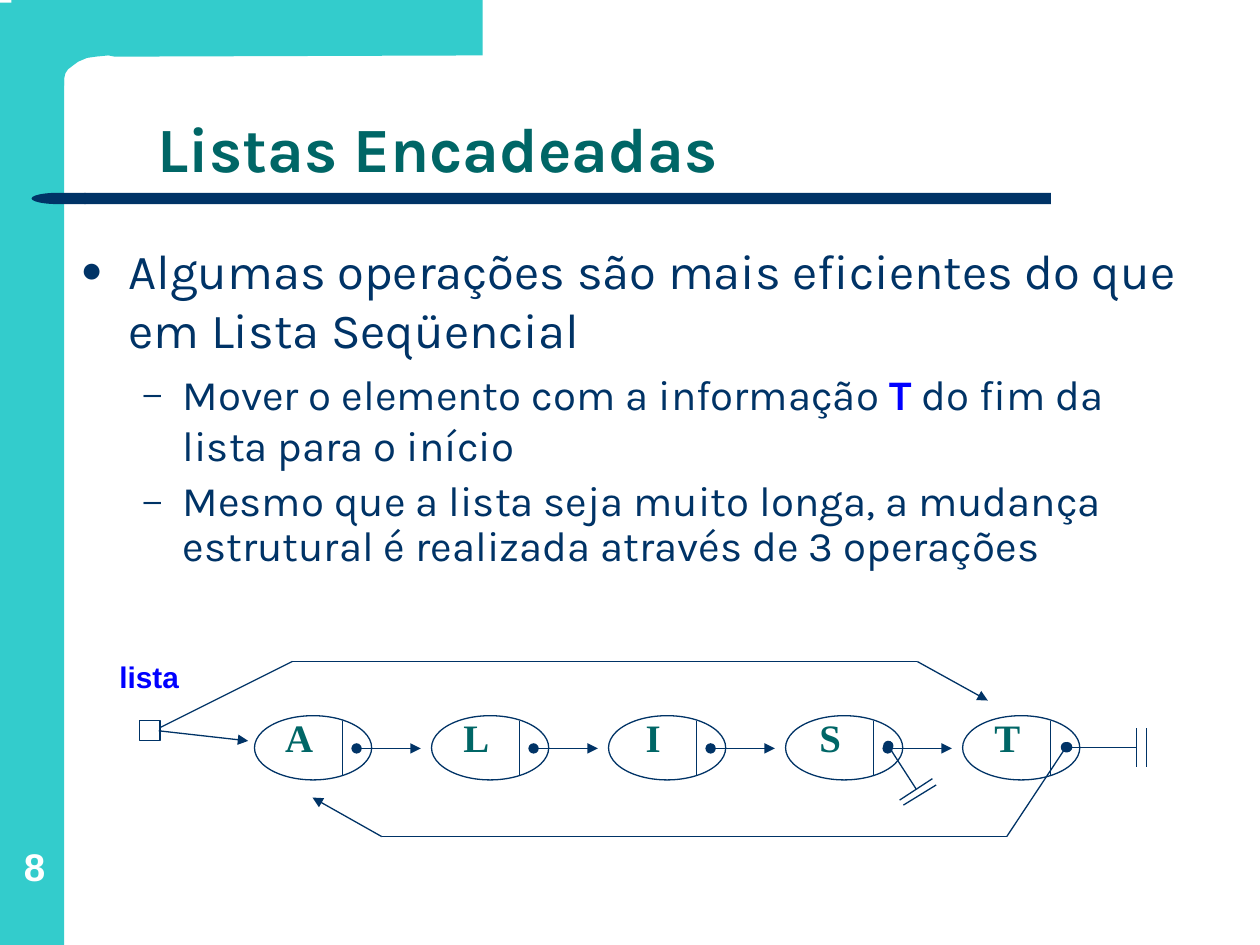
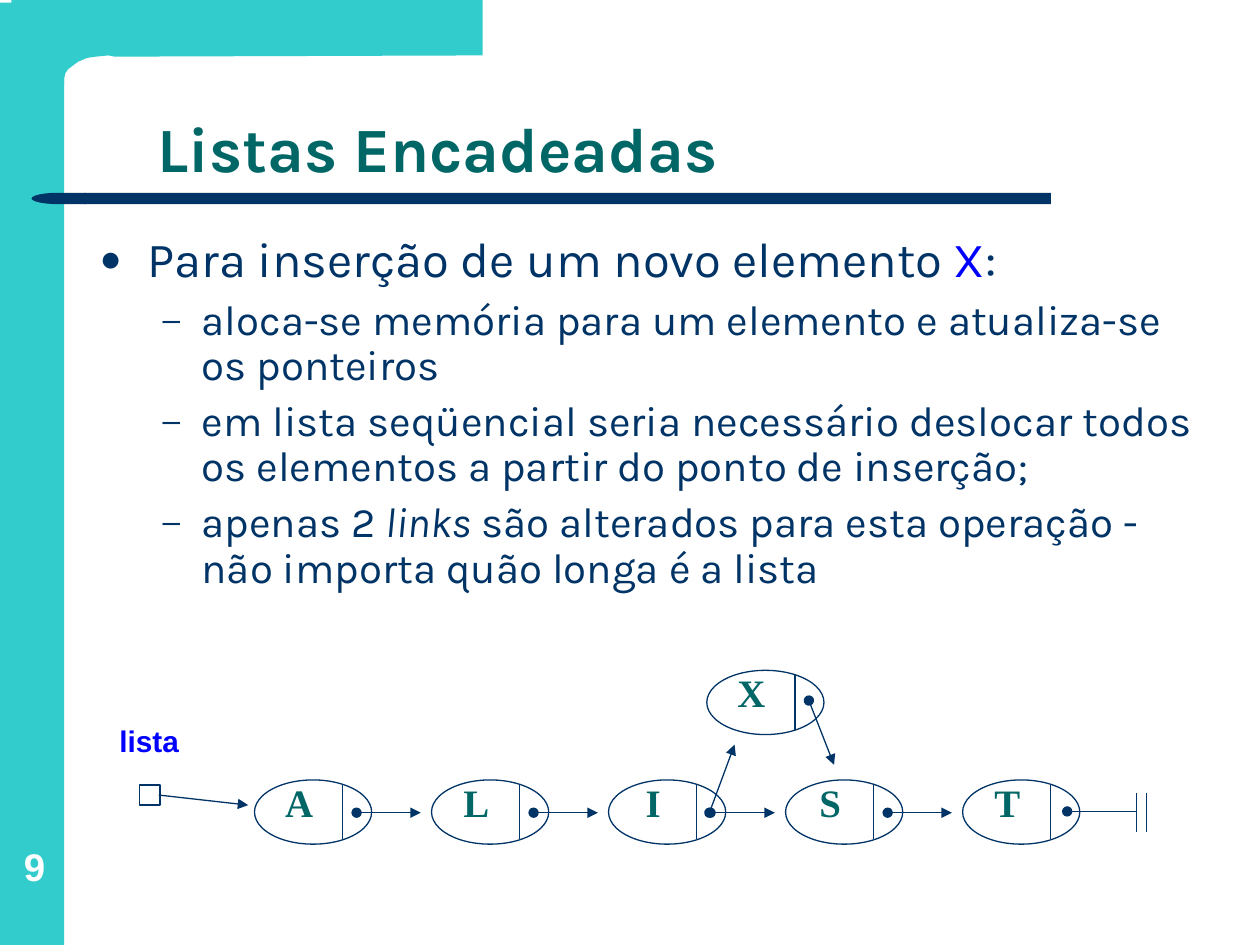
from itertools import pairwise

from lxml import etree
from pptx import Presentation
from pptx.dml.color import RGBColor
from pptx.enum.shapes import MSO_CONNECTOR, MSO_SHAPE
from pptx.enum.text import MSO_ANCHOR, MSO_AUTO_SIZE, PP_ALIGN
from pptx.oxml.ns import qn
from pptx.util import Inches, Pt

LINE = MSO_CONNECTOR.STRAIGHT
RECT, OVAL, DELAY = MSO_SHAPE.RECTANGLE, MSO_SHAPE.OVAL, MSO_SHAPE.FLOWCHART_DELAY
TOP, BOTTOM = MSO_ANCHOR.TOP, MSO_ANCHOR.BOTTOM
LEFT, CENTER = PP_ALIGN.LEFT, PP_ALIGN.CENTER
FIXED = MSO_AUTO_SIZE.NONE

# Colours and text formats
AQUA, NAVY, TEAL, BLUE, WHITE = "33CCCC", "003366", "006666", "0000FF", "FFFFFF"
HEAD = dict(name="Karla", size=36, color=TEAL, bold=True)
NUMBER = dict(name="Arial", size=22, color=WHITE, bold=True)
LABEL = dict(name="Arial", size=17, color=BLUE, bold=True)
LETTER = dict(name="Times New Roman", size=22.2, color=TEAL, bold=True)
LEVELS = [
    dict(size=28, before=7, mark="●", left=0.38, hang=0.38),
    dict(size=24, before=6, mark="–", left=0.81, hang=0.31),
]

# Content: items are (level, line spacing, runs); paths are (points, head, tail)
TITLE = "Listas Encadeadas"
NODES = "ALIST"
SLIDES = [
    dict(
        number="8", body=(0.54, 1.86, 8.94, 3.39), top=5.68, extra=[],
        items=[
            (0, 1, [("Algumas operações são mais eficientes do que em Lista Seqüencial", {})]),
            (1, 1, [("Mover o elemento com a informação ", {}),
                    ("T", dict(color=BLUE, bold=True)),
                    (" do fim da lista para o início", {})]),
            (1, 0.9, [("Mesmo que a lista seja muito longa, a mudança estrutural "
                       "é realizada através de 3 operações", {})]),
        ],
        paths=[
            ([(1.22, 5.8), (2.32, 5.25), (7.28, 5.25), (7.84, 5.56)], None, "triangle"),
            ([(8.46, 5.93), (7.99, 6.64), (3.03, 6.64), (2.48, 6.33)], "oval", "triangle"),
            ([(7.05, 5.92), (7.27, 6.26)], "oval", None),
            ([(7.4, 6.18), (7.14, 6.35)], None, None),
            ([(7.43, 6.23), (7.17, 6.39)], None, None),
        ],
    ),
    dict(
        number="9", body=(0.69, 1.82, 8.96, 3.27), top=6.19, extra=[("X", 5.61, 5.32)],
        items=[
            (0, 0.9, [("Para inserção de um novo elemento ", {}),
                      ("X", dict(color=BLUE)), (":", {})]),
            (1, 0.9, [("aloca-se memória para um elemento e atualiza-se os ponteiros", {})]),
            (1, 0.9, [("em lista seqüencial seria necessário deslocar todos os elementos "
                       "a partir do ponto de inserção;", {})]),
            (1, 0.9, [("apenas 2 ", {}), ("links", dict(italic=True)),
                      (" são alterados para esta operação - não importa quão longa é a lista", {})]),
        ],
        paths=[
            ([(5.63, 6.45), (5.83, 5.91)], "oval", "triangle"),
            ([(6.42, 5.56), (6.62, 6.07)], "oval", "triangle"),
        ],
    ),
]

# Shared geometry
CORNER = [(3.83, 0), (3.83, 0.44), (0.91, 0.45), (0.86, 0.44), (0.76, 0.45),
          (0.69, 0.46), (0.62, 0.49), (0.58, 0.52), (0.54, 0.55), (0.52, 0.58),
          (0.51, 0.62), (0.51, 0.68), (0.09, 0.68), (0.09, 0)]
FIRST, STEP = 2.02, 1.405


def rgb(code):
    return RGBColor.from_string(code)


def apply(obj, **vals):
    for key, val in vals.items():
        setattr(obj, key, val)


def style(font, color, size, **vals):
    apply(font, size=Pt(size), **vals)
    font.color.rgb = rgb(color)


def place(shape, box):
    apply(shape, **dict(zip(("left", "top", "width", "height"), map(Inches, box))))


def frame(shape, anchor, pad=None):
    text = shape.text_frame
    apply(text, word_wrap=True, auto_size=FIXED, vertical_anchor=anchor)
    if pad is not None:
        for side in ("left", "right", "top", "bottom"):
            setattr(text, f"margin_{side}", Inches(pad))
    return text


def paint(shape, fill=None, line=None):
    shape.shadow.inherit = False
    for part, color in ((shape.fill, fill), (shape.line.fill, line)):
        if color:
            part.solid()
            part.fore_color.rgb = rgb(color)
        else:
            part.background()
    if line:
        shape.line.width = Pt(0.75)
    return shape


def block(slide, kind, box, fill=None, line=None):
    return paint(slide.shapes.add_shape(kind, *map(Inches, box)), fill, line)


def write(slide, text, box, form, anchor=TOP, pad=0.01, space=0.9):
    shape = slide.shapes.add_textbox(*map(Inches, box))
    para = frame(shape, anchor, pad).paragraphs[0]
    apply(para, alignment=CENTER, line_spacing=space)
    run = para.add_run()
    run.text = text
    style(run.font, **form)


def link(slide, start, end, head=None, tail=None):
    con = slide.shapes.add_connector(LINE, *map(Inches, (*start, *end)))
    con.line.color.rgb = rgb(NAVY)
    con.line.width = Pt(0.75)
    props = con.element.spPr
    for tag, kind in (("a:headEnd", head), ("a:tailEnd", tail)):
        if kind:
            etree.SubElement(props.find(qn("a:ln")), qn(tag), type=kind)
    etree.SubElement(props, qn("a:effectLst"))


def trace(slide, points, head, tail):
    pairs = list(pairwise(points))
    for i, (start, end) in enumerate(pairs):
        link(slide, start, end, head if i == 0 else None,
             tail if i == len(pairs) - 1 else None)


def bullet(para, mark, left, hang):
    props = para._p.get_or_add_pPr()
    props.set("marL", str(Inches(left)))
    props.set("indent", str(-Inches(hang)))
    color = etree.SubElement(props, qn("a:buClr"))
    etree.SubElement(color, qn("a:srgbClr"), val=NAVY)
    etree.SubElement(props, qn("a:buSzPct"), val="75000")
    etree.SubElement(props, qn("a:buChar"), char=mark)


def backdrop(slide, number):
    block(slide, RECT, (0, 0.02, 0.51, 7.48), AQUA)
    start, *rest = [(Inches(x), Inches(y)) for x, y in CORNER]
    form = slide.shapes.build_freeform(*start)
    form.add_line_segments(rest, close=True)
    paint(form.convert_to_shape(), AQUA)
    block(slide, RECT, (0.67, 1.53, 7.67, 0.09), NAVY)
    block(slide, DELAY, (0.25, 1.53, 0.43, 0.09), NAVY).rotation = 180
    write(slide, number, (0.03, 6.52, 0.49, 0.54), NUMBER, BOTTOM, 0, 1)


def title(slide):
    shape = slide.shapes.title
    place(shape, (0.91, 0.44, 8.51, 1.09))
    text = frame(shape, BOTTOM)
    text.margin_left = Inches(0.34)
    para = text.paragraphs[0]
    apply(para, alignment=LEFT, line_spacing=0.9)
    run = para.add_run()
    run.text = TITLE
    style(run.font, **HEAD)


def body(slide, box, items):
    shape = slide.placeholders[1]
    place(shape, box)
    text = frame(shape, TOP)
    for i, (level, space, runs) in enumerate(items):
        para = text.add_paragraph() if i else text.paragraphs[0]
        look = LEVELS[level]
        apply(para, level=level, line_spacing=space, space_before=Pt(look["before"]))
        bullet(para, look["mark"], look["left"], look["hang"])
        for words, change in runs:
            run = para.add_run()
            run.text = words
            style(run.font, **(dict(name="Karla", size=look["size"], color=NAVY) | change))


def node(slide, letter, x, y):
    block(slide, OVAL, (x, y, 0.93, 0.51), line=NAVY)
    write(slide, letter, (x + 0.17, y + 0.02, 0.37, 0.4), LETTER)
    link(slide, (x + 0.7, y + 0.04), (x + 0.7, y + 0.47))


def chain(slide, top, extra, paths):
    # Nodes and the arrows between them
    for i, letter in enumerate(NODES):
        x = FIRST + i * STEP
        node(slide, letter, x, top)
        if i < len(NODES) - 1:
            link(slide, (x + 0.81, top + 0.26), (x + 1.32, top + 0.26), "oval", "triangle")
    # End of the list
    link(slide, (8.47, top + 0.25), (9.02, top + 0.25), "oval")
    for x in (9.02, 9.1):
        link(slide, (x, top + 0.1), (x, top + 0.41))
    # Changed links
    for item in extra:
        node(slide, *item)
    for path in paths:
        trace(slide, *path)
    # Start of the list
    write(slide, "lista", (0.71, top - 0.43, 0.95, 0.31), LABEL)
    block(slide, RECT, (1.11, top + 0.04, 0.16, 0.16), WHITE, NAVY)
    link(slide, (1.26, top + 0.12), (1.97, top + 0.2), tail="triangle")


def main():
    deck = Presentation()
    apply(deck, slide_width=Inches(10), slide_height=Inches(7.5))
    for data in SLIDES:
        slide = deck.slides.add_slide(deck.slide_layouts[1])
        backdrop(slide, data["number"])
        title(slide)
        body(slide, data["body"], data["items"])
        chain(slide, data["top"], data["extra"], data["paths"])
    deck.save("out.pptx")


if __name__ == "__main__":
    main()
